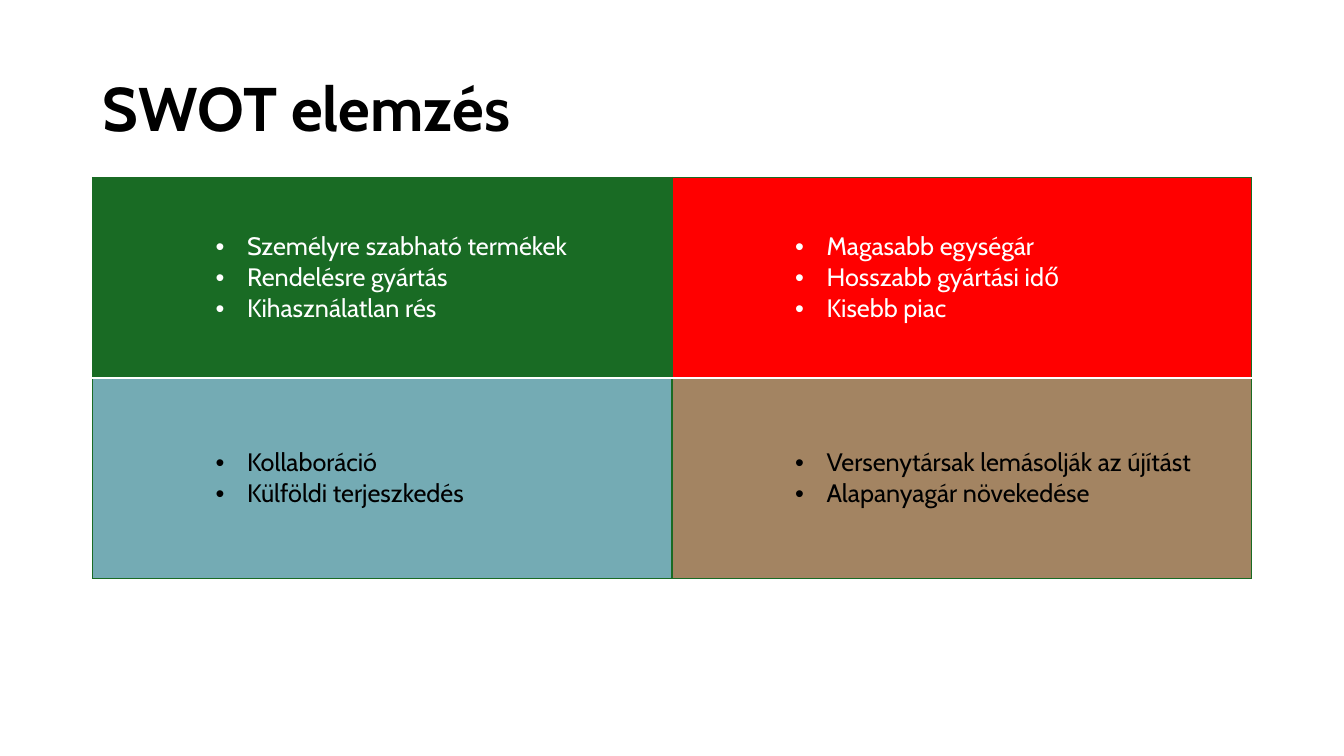
"""Build a SWOT analysis slide with a two-by-two table."""
from dataclasses import dataclass

from lxml.etree import SubElement
from pptx import Presentation
from pptx.dml.color import RGBColor
from pptx.enum.text import MSO_ANCHOR as Anchor, PP_ALIGN as Align
from pptx.oxml import parse_xml
from pptx.oxml.ns import nsdecls, qn
from pptx.slide import Slide
from pptx.table import _Cell as Cell
from pptx.text.text import _Paragraph as Paragraph
from pptx.util import Pt

WHITE = RGBColor(0xFF, 0xFF, 0xFF)
BLACK = RGBColor(0x00, 0x00, 0x00)
GREEN = RGBColor(0x19, 0x6B, 0x24)
RED = RGBColor(0xFF, 0x00, 0x00)
BLUE = RGBColor(0x74, 0xAB, 0xB4)
BROWN = RGBColor(0xA3, 0x84, 0x62)

FONT = "Cabin"
LEFT, WIDTH = 66, 828
TITLE_TOP, TITLE_HEIGHT = 27.4, 104.4
TABLE_TOP, ROW_HEIGHT = 126.7, 143.3
INDENT = 22.5
CELL_FORMAT = {
    "vertical_anchor": Anchor.MIDDLE,
    "margin_left": Pt(88),
    "margin_right": Pt(7.2),
    "margin_top": Pt(3.6),
    "margin_bottom": Pt(3.6),
}


@dataclass(frozen=True)
class Quadrant:
    points: tuple[str, ...]
    fill: RGBColor
    color: RGBColor


@dataclass(frozen=True)
class Border:
    color: RGBColor
    width: float


OUTER = Border(GREEN, 1)
DIVIDER = Border(WHITE, 1.5)
QUADRANTS = (
    (
        Quadrant(("Személyre szabható termékek", "Rendelésre gyártás",
                  "Kihasználatlan rés"), GREEN, WHITE),
        Quadrant(("Magasabb egységár", "Hosszabb gyártási idő",
                  "Kisebb piac"), RED, WHITE),
    ),
    (
        Quadrant(("Kollaboráció", "Külföldi terjeszkedés"), BLUE, BLACK),
        Quadrant(("Versenytársak lemásolják az újítást",
                  "Alapanyagár növekedése"), BROWN, BLACK),
    ),
)


def add_run(p: Paragraph, text: str, size: float, color: RGBColor,
            bold: bool = False) -> None:
    r = p.add_run()
    r.text = text
    for name, value in {"name": FONT, "size": Pt(size), "bold": bold}.items():
        setattr(r.font, name, value)
    r.font.color.rgb = color


def set_borders(cell: Cell, borders: dict[str, Border]) -> None:
    tc_pr = cell._tc.get_or_add_tcPr()
    for i, (side, border) in enumerate(borders.items()):
        tc_pr.insert(i, parse_xml(
            f'<a:ln{side} {nsdecls("a")} w="{Pt(border.width)}"><a:solidFill>'
            f'<a:srgbClr val="{border.color}"/></a:solidFill></a:ln{side}>'))


def add_bullet(p: Paragraph) -> None:
    p_pr = p._p.get_or_add_pPr()
    p_pr.set("marL", str(Pt(INDENT)))
    p_pr.set("indent", str(-Pt(INDENT)))
    SubElement(p_pr, qn("a:buFont"), typeface="Arial")
    SubElement(p_pr, qn("a:buChar"), char="•")


def fill_cell(cell: Cell, quadrant: Quadrant) -> None:
    for name, value in CELL_FORMAT.items():
        setattr(cell, name, value)
    cell.fill.solid()
    cell.fill.fore_color.rgb = quadrant.fill
    tf = cell.text_frame
    for i, point in enumerate(quadrant.points):
        p = tf.add_paragraph() if i else tf.paragraphs[0]
        add_bullet(p)
        add_run(p, point, 18, quadrant.color)


def add_title(s: Slide) -> None:
    sp = s.shapes.title
    place = {"left": LEFT, "top": TITLE_TOP,
             "width": WIDTH, "height": TITLE_HEIGHT}
    for name, value in place.items():
        setattr(sp, name, Pt(value))
    tf = sp.text_frame
    tf.vertical_anchor = Anchor.MIDDLE
    tf.word_wrap = True
    p = tf.paragraphs[0]
    p.alignment = Align.LEFT
    p.line_spacing = 0.9
    add_run(p, "SWOT elemzés", 44, BLACK, bold=True)


def add_swot_table(s: Slide) -> None:
    rows, cols = len(QUADRANTS), len(QUADRANTS[0])
    table = s.shapes.add_table(rows, cols, Pt(LEFT), Pt(TABLE_TOP), Pt(WIDTH),
                               Pt(ROW_HEIGHT * rows)).table
    table.first_row = table.horz_banding = False
    for i, row in enumerate(QUADRANTS):
        for j, quadrant in enumerate(row):
            cell = table.cell(i, j)
            fill_cell(cell, quadrant)
            set_borders(cell, {
                "L": OUTER,
                "R": OUTER,
                "T": DIVIDER if i else OUTER,
                "B": DIVIDER if i < rows - 1 else OUTER,
            })


def main() -> None:
    prs = Presentation()
    prs.slide_width, prs.slide_height = Pt(960), Pt(540)
    s = prs.slides.add_slide(prs.slide_layouts[5])
    add_title(s)
    add_swot_table(s)
    prs.save("out.pptx")


if __name__ == "__main__":
    main()
